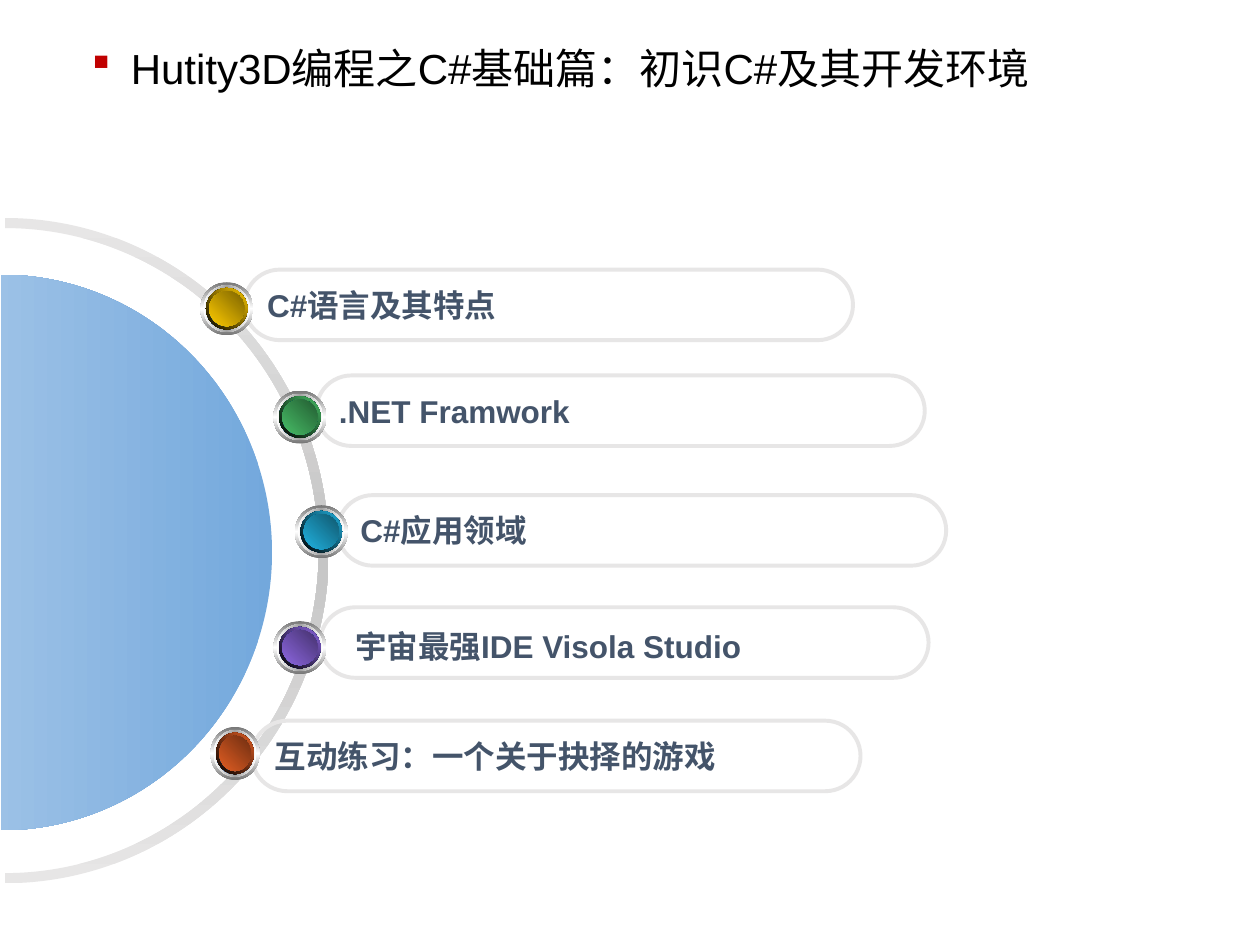
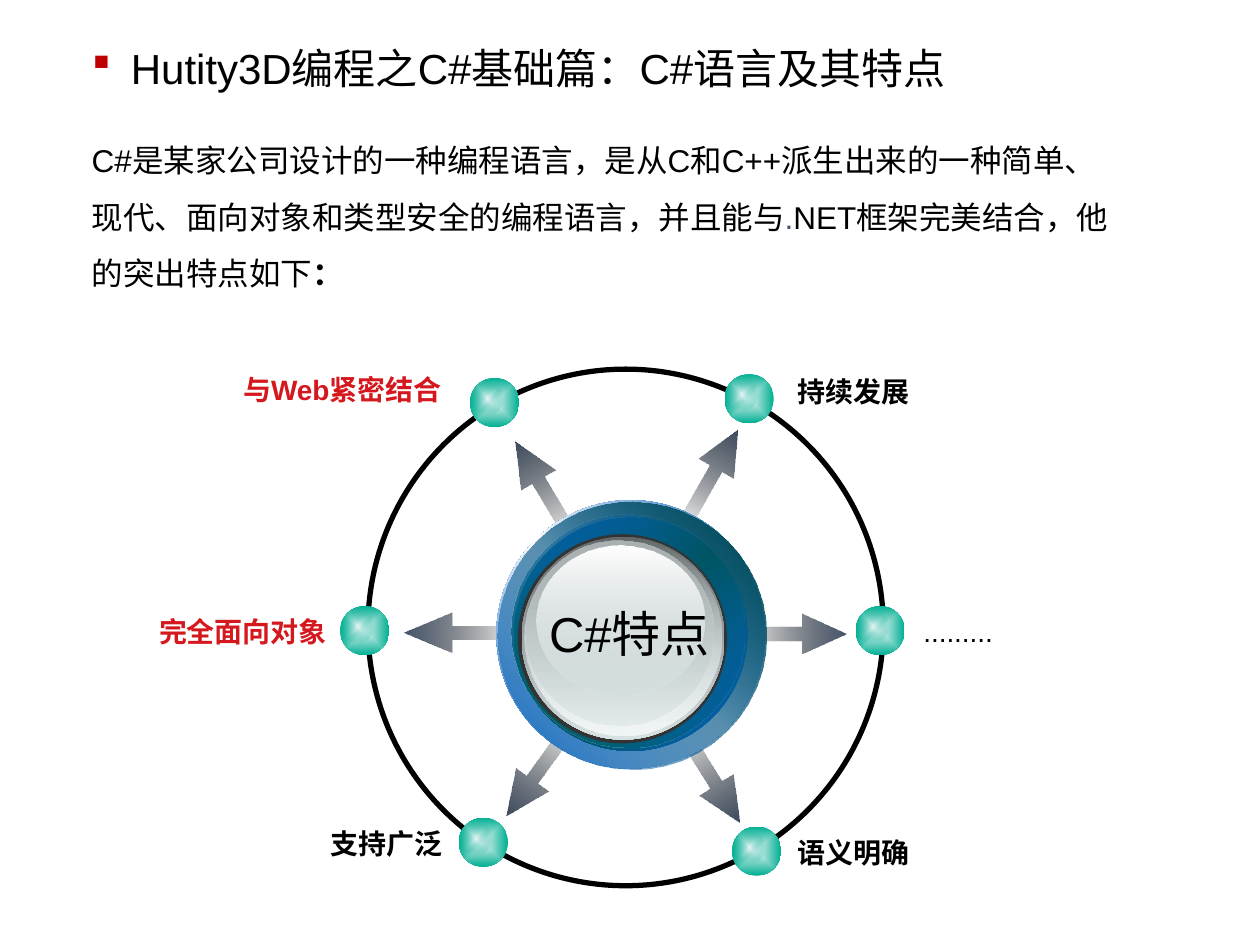
from dataclasses import dataclass

from lxml import etree
from pptx import Presentation
from pptx.dml.color import RGBColor
from pptx.enum import shapes, text
from pptx.oxml import ns
from pptx.util import Inches, Pt


@dataclass(frozen=True)
class Theme:
    font: str = "Arial"
    bullet_font: str = "Wingdings"
    title_size: int = 24
    body_size: int = 18
    label_size: int = 16
    hub_size: int = 28
    ink: str = "000000"
    slate: str = "44546A"
    bullet: str = "C00000"
    accent: str = "D4181D"
    white: str = "FFFFFF"
    pale: str = "E7E6E6"
    arc_mid: str = "C5C5C5"
    disc_dark: str = "73A8DC"
    disc_light: str = "C5DAF0"
    blue: str = "0563C1"
    teal: str = "005353"
    ball: str = "00AF92"
    ball_light: str = "E8F5F6"
    glass: str = "D6E1E2"


T = Theme()
OVAL = shapes.MSO_SHAPE.OVAL
LEFT, CENTER, RIGHT = text.PP_ALIGN.LEFT, text.PP_ALIGN.CENTER, text.PP_ALIGN.RIGHT
RIGHT_HALF = (162, 54)


def set_all(target, values):
    for name, value in values.items():
        setattr(target, name, value)


def element(parent, tag, **attributes):
    return etree.SubElement(parent, ns.qn(tag), attributes)


def paint(sp, stops, angle=None):
    if len(stops) == 1:
        sp.fill.solid()
        sp.fill.fore_color.rgb = RGBColor.from_string(stops[0][0])
        return
    old = sp._element.spPr.find(ns.qn("a:noFill"))
    grad = etree.Element(ns.qn("a:gradFill"), {"rotWithShape": "1"})
    stop_list = element(grad, "a:gsLst")
    for i, (color, *alpha) in enumerate(stops):
        position = round(100000 * i / (len(stops) - 1))
        stop = element(stop_list, "a:gs", pos=str(position))
        clr = element(stop, "a:srgbClr", val=color)
        if alpha:
            element(clr, "a:alpha", val=str(alpha[0] * 1000))
    if angle is None:
        shade = element(grad, "a:path", **{"path": "shape"})
        element(shade, "a:fillToRect", l="50000", t="50000", r="50000", b="50000")
    else:
        element(grad, "a:lin", ang=str(angle * 60000), scaled="0")
    old.getparent().replace(old, grad)


def add_shape(parent, kind, x, y, w, h, adjustments=()):
    sp = parent.add_shape(kind, *map(Inches, (x, y, w, h)))
    sp.shadow.inherit = False
    sp.fill.background()
    sp.line.fill.background()
    for i, value in enumerate(adjustments):
        sp.adjustments[i] = value
    return sp


def outline(sp, color, width):
    sp.line.color.rgb = RGBColor.from_string(color)
    sp.line.width = Pt(width)


def add_run(p, words, size, color, bold=False):
    r = p.add_run()
    r.text = words
    set_all(r.font, {"name": T.font, "size": Pt(size), "bold": bold})
    r.font.color.rgb = RGBColor.from_string(color)


def add_text(slide, x, y, w, h, runs, size, align=LEFT, grow=True):
    tf = slide.shapes.add_textbox(*map(Inches, (x, y, w, h))).text_frame
    fit = text.MSO_AUTO_SIZE.SHAPE_TO_FIT_TEXT if grow else text.MSO_AUTO_SIZE.NONE
    set_all(tf, {"word_wrap": True, "auto_size": fit})
    p = tf.paragraphs[0]
    p.alignment = align
    for words, color, bold in runs:
        add_run(p, words, size, color, bold)
    return p


def title(slide, words, width):
    p = add_text(slide, 0.63, 0.29, width, 0.5, [(words, T.ink, False)], T.title_size)
    pPr = p._p.get_or_add_pPr()
    indent = Inches(0.31)
    pPr.set("marL", str(indent))
    pPr.set("indent", str(-indent))
    element(element(pPr, "a:buClr"), "a:srgbClr", val=T.bullet)
    element(pPr, "a:buFont", typeface=T.bullet_font)
    element(pPr, "a:buChar", char="§")


def half_dial(slide, x, y):
    ring = add_shape(slide.shapes, shapes.MSO_SHAPE.BLOCK_ARC,
                     x - 2.57, y - 2.64, 5.14, 5.28, (*RIGHT_HALF, 0.0156))
    paint(ring, [(T.pale,), (T.arc_mid,), (T.pale,)], 90)
    disc = add_shape(slide.shapes, shapes.MSO_SHAPE.CHORD,
                     x - 2.18, y - 2.19, 4.3, 4.41, RIGHT_HALF)
    paint(disc, [(T.disc_dark,), (T.disc_light,)], 180)


def button(slide, x, y, w, h, color, shade):
    layers = [
        (0, ["767676", T.white, "767676"], 90),
        (0.05, [T.white, "A2A2A2", T.white], 0),
        (0.09, [T.blue, T.white, T.blue], 315),
        (0.09, [T.ink, color], 315),
        (0.14, [T.blue, T.teal, T.blue], 45),
        (0.14, [color, shade], 315),
    ]
    group = slide.shapes.add_group_shape().shapes
    for trim, colors, angle in layers:
        sp = add_shape(group, OVAL, x + trim / 2, y + trim / 2, w - trim, h - trim)
        paint(sp, [(c,) for c in colors], angle)


def pill(slide, x, y, words):
    sp = add_shape(slide.shapes, shapes.MSO_SHAPE.ROUNDED_RECTANGLE,
                   x, y, 4.83, 0.56, (0.5,))
    outline(sp, T.pale, 2.25)
    if words:
        tf = sp.text_frame
        set_all(tf, {"word_wrap": True, "vertical_anchor": text.MSO_ANCHOR.MIDDLE})
        tf.paragraphs[0].alignment = LEFT
        add_run(tf.paragraphs[0], words, T.body_size, T.slate, True)


def agenda(slide, x, y):
    topics = [
        ("C#语言及其特点", 1.9, -2.23, 1.55, -2.13, 0.42, "FFCC00", "7C6300"),
        (".NET Framwork", 2.47, -1.39, 2.13, -1.27, 0.42, "48BE67", "235C32"),
        ("C#应用领域", 2.64, -0.44, 2.3, -0.36, 0.42, "21B3E1", "10576D"),
        ("", 2.5, 0.45, 2.13, 0.56, 0.42, "8D67E1", "45326D"),
        ("互动练习：一个关于抉择的游戏", 1.96, 1.35, 1.63, 1.4, 0.39, "E35E23", "6E2E11"),
    ]
    half_dial(slide, x, y)
    for words, pill_x, pill_y, knob_x, knob_y, knob_w, color, shade in topics:
        pill(slide, x + pill_x, y + pill_y, words)
        button(slide, x + knob_x, y + knob_y, knob_w, 0.42, color, shade)
    add_text(slide, x + 2.68, y + 0.56, 4.64, 0.4,
             [("宇宙最强IDE Visola Studio", T.slate, True)], T.body_size)


def arrows(slide, x, y):
    spokes = [
        (0.67, -1.19, 0.87, 299.6), (0.67, 1.18, 0.87, 57.8),
        (-0.66, -1.1, 0.87, 239.5), (-0.7, 1.14, 0.87, 125.6),
        (1.31, 0.05, 0.87, 0), (-1.3, 0.04, 0.94, 180),
    ]
    height = 0.32
    for dx, dy, length, angle in spokes:
        sp = add_shape(slide.shapes, shapes.MSO_SHAPE.RIGHT_ARROW,
                       x + dx - length / 2, y + dy - height / 2, length, height,
                       (0.352, 1.21 if length > 0.9 else 1.11))
        sp.rotation = angle
        paint(sp, [(T.ink, 0), (T.slate,)], 0)


def ball(slide, x, y):
    group = slide.shapes.add_group_shape().shapes
    paint(add_shape(group, OVAL, x - 0.2, y - 0.2, 0.39, 0.39),
          [(T.ball_light,), (T.ball,)])
    paint(add_shape(group, OVAL, x - 0.18, y - 0.16, 0.24, 0.25),
          [(T.ball_light,), (T.ball, 0)])


def hub(slide, x, y):
    layers = [
        (-1.06, -1.07, 2.13, 2.13, [(T.blue,), (T.white,), (T.blue,)], 315),
        (-1.05, -1.06, 2.13, 2.13, [(T.blue, 32), ("004747",)], 315),
        (-0.92, -0.93, 1.85, 1.85, [(T.blue,), (T.teal,), (T.blue,)], 45),
        (-0.94, -0.96, 1.85, 1.85, [("006161",), (T.blue, 0)], 315),
        (-0.89, -0.8, 1.66, 1.66, [("333333",)], None),
        (-0.86, -0.78, 1.61, 1.61, [("636869",), (T.glass,)], 90),
        (-0.84, -0.77, 1.57, 1.57, [(T.glass, 0), ("F1F5F5",)], 90),
        (-0.83, -0.75, 1.49, 1.47, [("AAB2B3",), (T.glass, 48)], 90),
        (-0.74, -0.71, 1.33, 1.19, [(T.white,), (T.glass, 38)], 90),
    ]
    for dx, dy, w, h, stops, angle in layers:
        paint(add_shape(slide.shapes, OVAL, x + dx, y + dy, w, h), stops, angle)
    add_text(slide, x - 0.74, y - 0.3, 1.47, 0.57,
             [("C#特点", T.ink, False)], T.hub_size, CENTER)


def feature_wheel(slide, x, y):
    balls = [(-1.04, -1.78), (-2.07, 0.03), (-1.13, 1.71),
             (0.98, -1.81), (2.02, 0.03), (1.04, 1.78)]
    labels = [
        ("持续发展", 1.26, -2.06, 1.1, LEFT, T.ink, True),
        (".........", 2.26, -0.15, 0.8, LEFT, T.ink, False),
        ("语义明确", 1.26, 1.6, 1.1, LEFT, T.ink, True),
        ("完全面向对象", -3.83, -0.15, 1.55, RIGHT, T.accent, True),
        ("支持广泛", -2.46, 1.53, 1.1, RIGHT, T.ink, True),
        ("与Web紧密结合", -3.15, -2.07, 1.78, RIGHT, T.accent, True),
    ]
    arrows(slide, x, y)
    outline(add_shape(slide.shapes, OVAL, x - 2.05, y - 2.05, 4.09, 4.1), T.ink, 3)
    for dx, dy in balls:
        ball(slide, x + dx, y + dy)
    hub(slide, x + 0.03, y + 0.06)
    for words, dx, dy, w, align, color, bold in labels:
        add_text(slide, x + dx, y + dy, w, 0.37, [(words, color, bold)],
                 T.label_size, align)


def introduction(slide, x, y, w, h):
    runs = [
        ("C#是某家公司设计的一种编程语言，是从C和C++派生出来的一种简单、"
         "现代、面向对象和类型安全的编程语言，并且能与", T.ink, False),
        (".", T.slate, False),
        ("NET框架完美结合，他的突出特点如下", T.ink, False),
        ("：", T.ink, True),
    ]
    add_text(slide, x, y, w, h, runs, T.body_size, grow=False).line_spacing = 1.5


def agenda_slide(slide):
    agenda(slide, 0.04, 4.37)
    title(slide, "Hutity3D编程之C#基础篇：初识C#及其开发环境", 7.64)


def features_slide(slide):
    title(slide, "Hutity3D编程之C#基础篇：C#语言及其特点", 6.98)
    introduction(slide, 0.63, 0.92, 8.27, 1.46)
    feature_wheel(slide, 4.97, 4.98)


def main():
    prs = Presentation()
    set_all(prs, {"slide_width": Inches(10), "slide_height": Inches(7.5)})
    for build in (agenda_slide, features_slide):
        build(prs.slides.add_slide(prs.slide_layouts[6]))
    prs.save("out.pptx")


if __name__ == "__main__":
    main()
